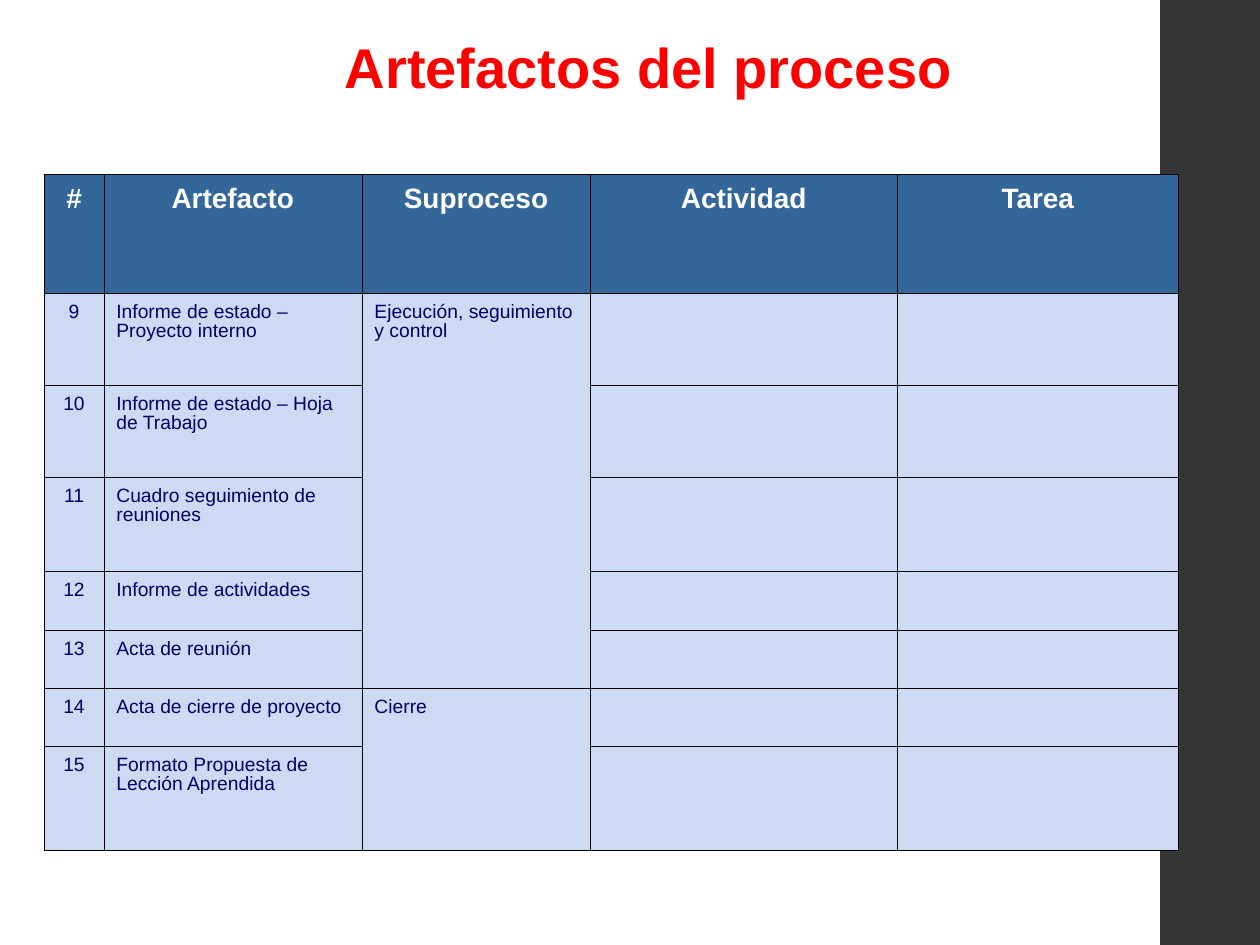
from lxml.etree import SubElement
from pptx import Presentation
from pptx.dml.color import RGBColor
from pptx.enum.shapes import MSO_SHAPE
from pptx.enum.text import MSO_AUTO_SIZE, PP_ALIGN
from pptx.oxml.ns import qn
from pptx.util import Pt

HEADS = ["#", "Artefacto", "Suproceso", "Actividad", "Tarea"]
ITEMS = [
    "Informe de estado – Proyecto interno",
    "Informe de estado – Hoja de Trabajo",
    "Cuadro seguimiento de reuniones",
    "Informe de actividades",
    "Acta de reunión",
    "Acta de cierre de proyecto",
    "Formato Propuesta de Lección Aprendida",
]
FIRST = 9
GROUPS = [(1, 5, "Ejecución, seguimiento y control"), (6, 7, "Cierre")]
WIDTHS = [34, 147.5, 130.5, 175.5, 160.5]
HEIGHTS = [67.7, 52.5, 52.5, 54, 33.8, 33.1, 33.1, 59.3]
TITLE = {"size": Pt(32), "bold": True, "color": "FF0000"}
HEAD = {"size": Pt(16), "bold": True, "color": "FFFFFF"}
BODY = {"size": Pt(11), "bold": False, "color": "000066"}


def color(code):
    """Turn a hex string into a colour."""
    return RGBColor.from_string(code)


def write(par, text, style):
    """Add a run of text in the given style."""
    run = par.add_run()
    run.text = text
    for key, value in {"name": "Arial", **style}.items():
        if key == "color":
            run.font.color.rgb = color(value)
        else:
            setattr(run.font, key, value)


def edge(cell, widths):
    """Draw black borders round a cell from a dict of side widths."""
    props = cell._tc.get_or_add_tcPr()
    for side, width in widths.items():
        line = SubElement(props, qn(f"a:ln{side}"), w=str(Pt(width)))
        fill = SubElement(line, qn("a:solidFill"))
        SubElement(fill, qn("a:srgbClr"), val="000000")


def band(slide, left, top, width, height):
    """Place the dark side band."""
    shape = slide.shapes.add_shape(
        MSO_SHAPE.RECTANGLE, Pt(left), Pt(top), Pt(width), Pt(height))
    shape.shadow.inherit = False
    shape.fill.solid()
    shape.fill.fore_color.rgb = color("353537")
    shape.line.fill.background()


def title(slide, left, top, width, height):
    """Place the slide title."""
    box = slide.shapes.add_textbox(Pt(left), Pt(top), Pt(width), Pt(height))
    box.text_frame.word_wrap = False
    box.text_frame.auto_size = MSO_AUTO_SIZE.SHAPE_TO_FIT_TEXT
    write(box.text_frame.paragraphs[0], "Artefactos del proceso", TITLE)


def fill(cell, text, row, col):
    """Format one table cell and write its text."""
    last = len(HEIGHTS) - 1
    edge(cell, {
        "L": 0.5 if col == 0 else 0.23,
        "R": 0.5 if col == len(WIDTHS) - 1 else 0.23,
        "T": 0.5 if row == 0 else 0.23,
        "B": 0.5 if row == last else 0.23,
    })
    cell.fill.solid()
    cell.fill.fore_color.rgb = color("CDDAF3" if row else "336699")
    if not text:
        return
    cell.margin_top = Pt(5.8 if row else 6.5)
    par = cell.text_frame.paragraphs[0]
    form = {
        "alignment": PP_ALIGN.LEFT if row and col else PP_ALIGN.CENTER,
        "line_spacing": 0.89,
        "space_before": Pt(2.8 if row else 4),
    }
    for key, value in form.items():
        setattr(par, key, value)
    write(par, text, BODY if row else HEAD)


def grid(slide, left, top, width, height):
    """Place the table of artefacts."""
    table = slide.shapes.add_table(
        len(HEIGHTS), len(WIDTHS),
        Pt(left), Pt(top), Pt(width), Pt(height)).table
    for col, size in zip(table.columns, WIDTHS):
        col.width = Pt(size)
    for row, size in zip(table.rows, HEIGHTS):
        row.height = Pt(size)
    names = {start: name for start, _, name in GROUPS}
    rows = [HEADS] + [
        [str(FIRST + i), item, names.get(i + 1, ""), "", ""]
        for i, item in enumerate(ITEMS)]
    for r, texts in enumerate(rows):
        for c, text in enumerate(texts):
            fill(table.cell(r, c), text, r, c)
    for start, end, _ in GROUPS:
        table.cell(start, 2).merge(table.cell(end, 2))


def main():
    """Build and save the slide."""
    deck = Presentation()
    deck.slide_width, deck.slide_height = Pt(720), Pt(540)
    slide = deck.slides.add_slide(deck.slide_layouts[6])
    band(slide, 663, 0, 57.6, 540)
    title(slide, 190, 15, 363.6, 46)
    grid(slide, 25.3, 99.8, sum(WIDTHS), sum(HEIGHTS))
    deck.save("out.pptx")


if __name__ == "__main__":
    main()
